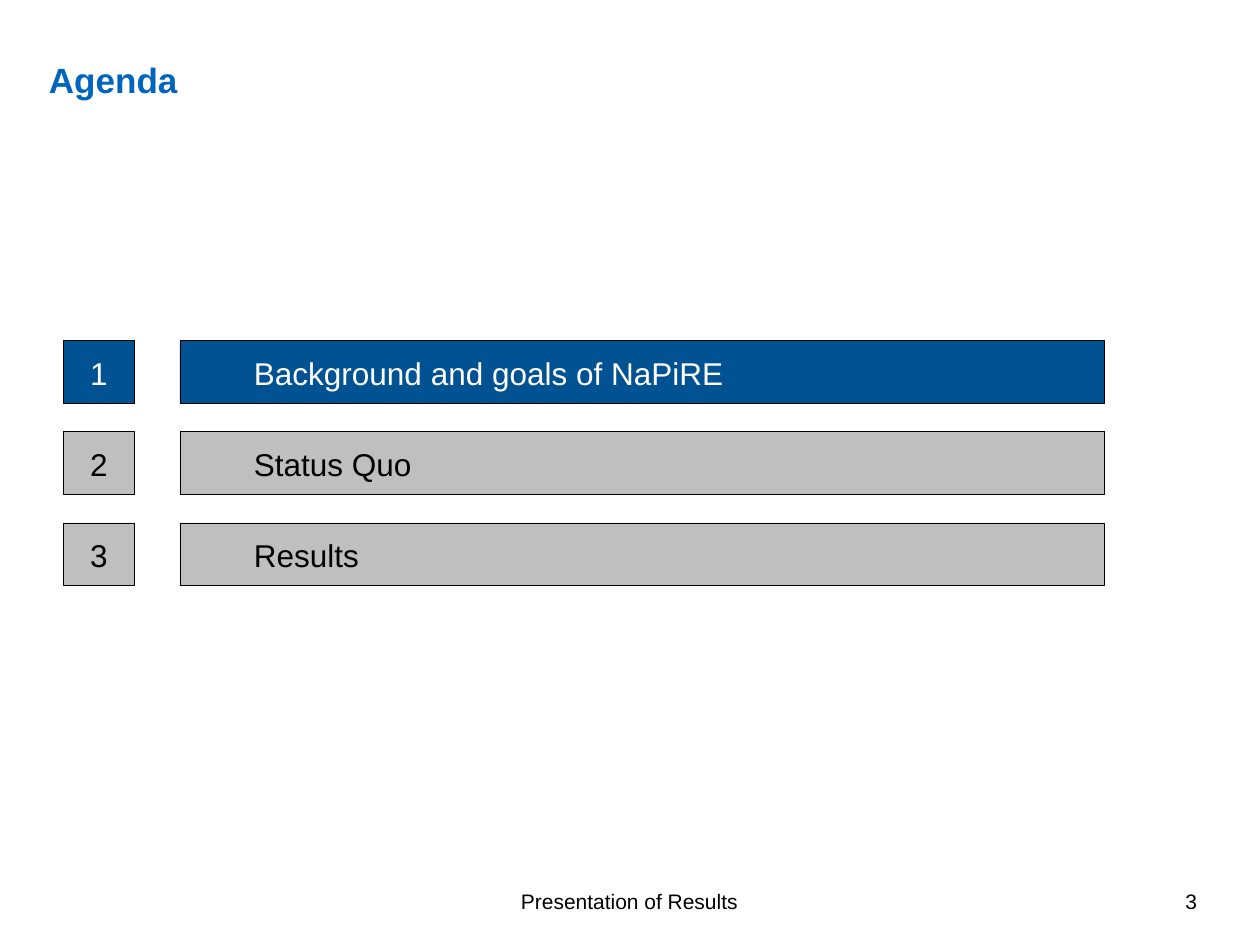
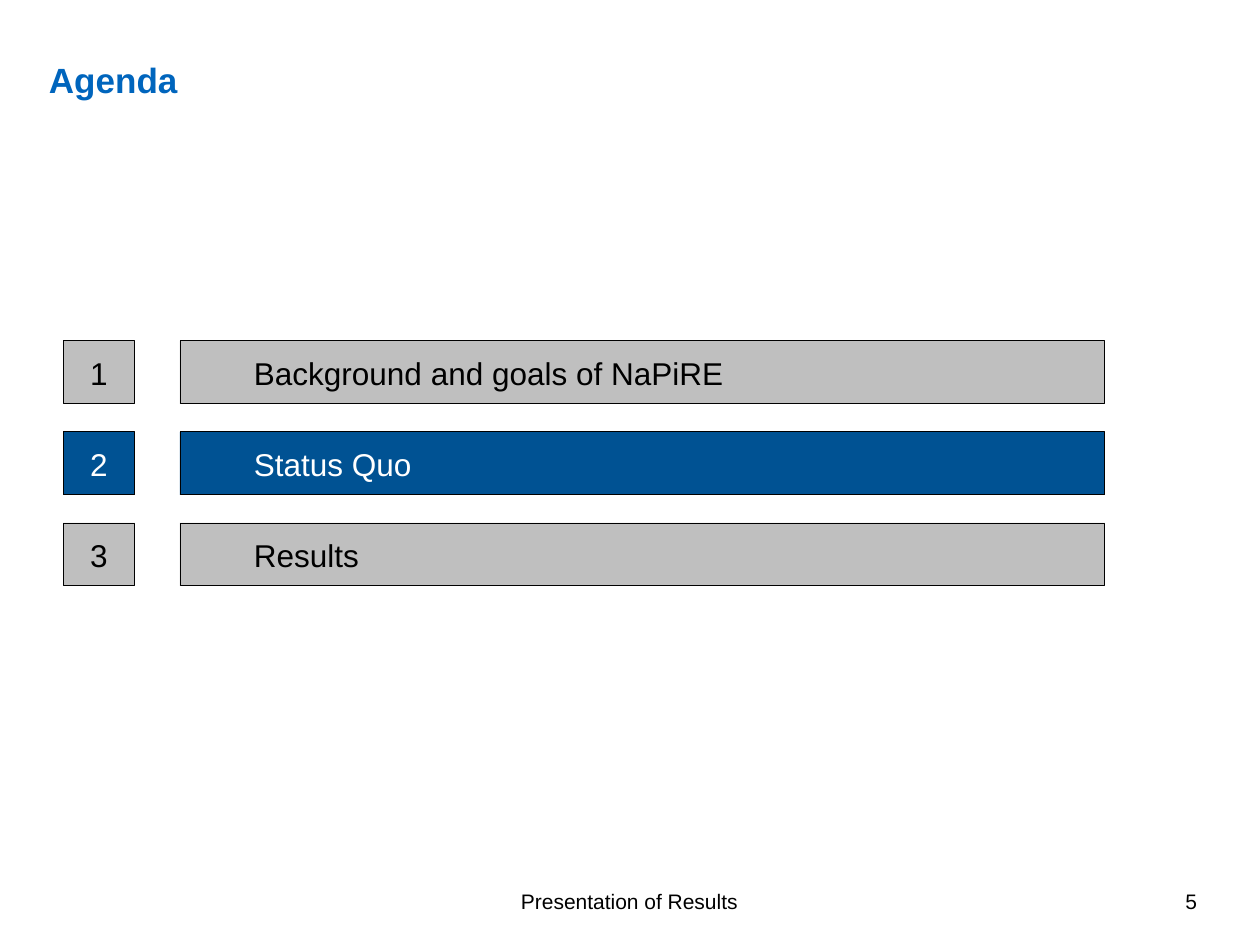
from pptx import Presentation
from pptx.dml.color import RGBColor
from pptx.enum.shapes import MSO_SHAPE
from pptx.enum.text import MSO_ANCHOR, PP_ALIGN
from pptx.oxml.xmlchemy import OxmlElement
from pptx.util import Pt

PX = 914400 // 126  # EMU per pixel
FONT = "Arial"
COLORS = {"title": "0065BD", "active": "005293", "inactive": "BFBFBF",
          "black": "000000", "white": "FFFFFF"}
TOPICS = ["Background and goals of NaPiRE", "Status Quo", "Results"]
ROW_TOP, ROW_STEP, ROW_H = 341, 91, 63

prs = Presentation()
prs.slide_width, prs.slide_height = 1260 * PX, 945 * PX


def write(sp, text, size, color, align=PP_ALIGN.LEFT, anchor=MSO_ANCHOR.MIDDLE,
          margins=(0, 0, 0, 0), bold=False):
    tf = sp.text_frame
    tf.word_wrap = True
    tf.vertical_anchor = anchor
    tf.margin_left, tf.margin_top, tf.margin_right, tf.margin_bottom = (
        m * PX for m in margins)
    p = tf.paragraphs[0]
    p.alignment = align
    r = p.add_run()
    r.text = text
    r.font.name, r.font.size, r.font.bold = FONT, Pt(size), bold
    r.font.color.rgb = RGBColor.from_string(COLORS[color])
    return p


def add_box(s, x, y, w, text, active, align, indent=0):
    sp = s.shapes.add_shape(MSO_SHAPE.RECTANGLE, x * PX, y * PX, w * PX, ROW_H * PX)
    sp.shadow.inherit = False
    sp.fill.solid()
    sp.fill.fore_color.rgb = RGBColor.from_string(
        COLORS["active" if active else "inactive"])
    sp.line.color.rgb = RGBColor.from_string(COLORS["black"])
    sp.line.width = Pt(0.5)
    p = write(sp, text, 18, "white" if active else "black", align,
              margins=(indent, 0, 0, 0))
    # Space before as a share of the line height
    before = OxmlElement("a:spcBef")
    share = OxmlElement("a:spcPct")
    share.set("val", "50000")
    before.append(share)
    p._p.get_or_add_pPr().append(before)


for page, current in [(3, 1), (5, 2)]:
    s = prs.slides.add_slide(prs.slide_layouts[6])

    # Title
    sp = s.shapes.add_textbox(49 * PX, 48 * PX, 1023 * PX, 49 * PX)
    p = write(sp, "Agenda", 20, "title", anchor=MSO_ANCHOR.TOP, bold=True)
    p.line_spacing = 1.25

    # Agenda rows, the current one highlighted
    for number, topic in enumerate(TOPICS, start=1):
        y = ROW_TOP + (number - 1) * ROW_STEP
        add_box(s, 180, y, 925, topic, number == current, PP_ALIGN.LEFT, indent=74)
        add_box(s, 63, y, 72, str(number), number == current, PP_ALIGN.CENTER)

    # Footer and page number
    for x, w, text, align in [(430, 399, "Presentation of Results", PP_ALIGN.CENTER),
                              (916, 294, str(page), PP_ALIGN.RIGHT)]:
        sp = s.shapes.add_textbox(x * PX, 876 * PX, w * PX, 50 * PX)
        write(sp, text, 12, "black", align, margins=(13, 6, 13, 6))

prs.save("out.pptx")
